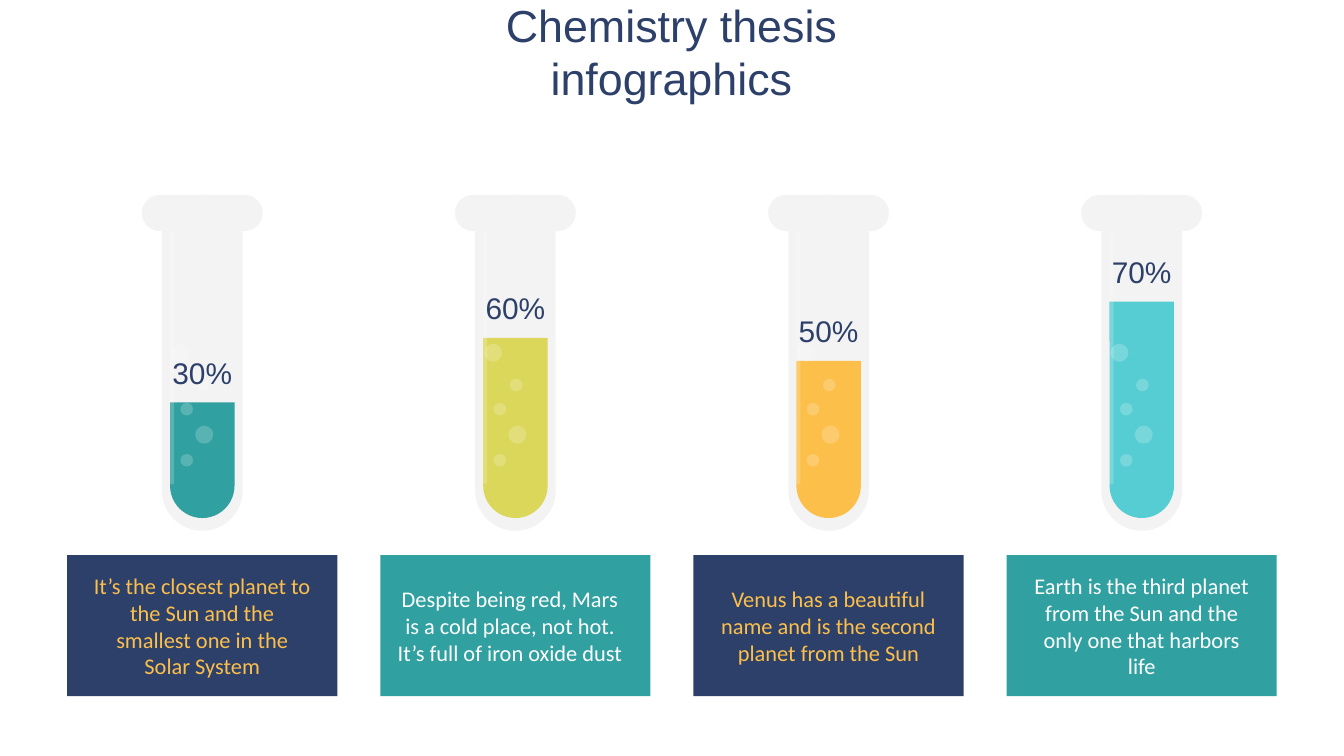
from dataclasses import dataclass

from lxml.etree import SubElement
from pptx import Presentation
from pptx.dml.color import RGBColor
from pptx.enum.shapes import MSO_SHAPE as Preset
from pptx.enum.text import MSO_ANCHOR as Anchor, PP_ALIGN as Align
from pptx.oxml.ns import qn
from pptx.util import Pt


@dataclass(frozen=True)
class Theme:
    navy: str = "2D406A"
    teal: str = "30A0A0"
    lime: str = "DBD75A"
    amber: str = "FCBF4A"
    aqua: str = "56CDD3"
    glass: str = "F3F3F3"
    white: str = "FFFFFF"
    heading_font: str = "Arial"
    body_font: str = "Calibri"
    title_size: int = 24
    label_size: int = 16
    body_size: int = 12
    inset: float = 7.2
    indent: float = 5.76
    shine: int = 20


@dataclass(frozen=True)
class Box:
    left: float
    top: float
    width: float
    height: float

    @property
    def centre(self):
        return self.left + self.width / 2

    @property
    def bottom(self):
        return self.top + self.height

    @property
    def lengths(self):
        return [Pt(value) for value in (self.left, self.top, self.width, self.height)]


THEME = Theme()
PITCH = 167.76
TUBE = Box(75.96, 104.4, 64.8, 180)
CAPTION = Box(36, 297.36, 144.72, 75.6)

# Offsets from the tube's axis and top, then diameter
BUBBLES = [
    (-11.9, 84.6, 9.7),
    (1.1, 128.5, 9.7),
    (0.4, 101.9, 6.8),
    (-8.3, 142.2, 6.8),
    (-8.3, 114.8, 6.8),
]

# Share, liquid height, liquid colour, caption fill, caption colour, left indent, caption
COLUMNS = [
    ("30%", 61.92, THEME.teal, THEME.navy, THEME.amber, THEME.indent,
     "It’s the closest planet to the Sun and the smallest one in the Solar System"),
    ("60%", 96.48, THEME.lime, THEME.teal, THEME.white, 0,
     "Despite being red, Mars is a cold place, not hot. It’s full of iron oxide dust"),
    ("50%", 84.24, THEME.amber, THEME.navy, THEME.amber, THEME.indent,
     "Venus has a beautiful name and is the second planet from the Sun"),
    ("70%", 115.92, THEME.aqua, THEME.teal, THEME.white, THEME.indent,
     "Earth is the third planet from the Sun and the only one that harbors life"),
]


def add_preset(page, preset, box, colour, adjustments=(), rotation=0, opacity=None):
    """Add a borderless filled shape; opacity is a percentage."""
    shape = page.shapes.add_shape(preset, *box.lengths)
    shape.shadow.inherit = False
    shape.fill.solid()
    shape.fill.fore_color.rgb = RGBColor.from_string(colour)
    shape.line.fill.background()
    shape.rotation = rotation
    for index, value in enumerate(adjustments):
        shape.adjustments[index] = value
    if opacity is not None:
        tint = shape.fill._xPr.find(qn("a:solidFill"))[0]
        SubElement(tint, qn("a:alpha"), val=str(opacity * 1000))
    return shape


def add_upright_pill(page, centre, top, width, height, colour, opacity=None):
    """Add a fully rounded bar lying flat, turned to stand on end."""
    flat = Box(centre - height / 2, top + (height - width) / 2, height, width)
    add_preset(page, Preset.ROUNDED_RECTANGLE, flat, colour, [0.5], 90, opacity)


def write_text(shape, text, font, size, colour, anchor=Anchor.MIDDLE):
    frame = shape.text_frame
    inset = Pt(THEME.inset)
    layout = {"word_wrap": True, "vertical_anchor": anchor, "margin_left": inset,
              "margin_top": inset, "margin_right": inset, "margin_bottom": inset}
    for name, value in layout.items():
        setattr(frame, name, value)
    para = frame.paragraphs[0]
    para.alignment = Align.CENTER
    span = para.add_run()
    span.text = text
    for name, value in {"name": font, "size": Pt(size)}.items():
        setattr(span.font, name, value)
    span.font.color.rgb = RGBColor.from_string(colour)
    return para


def add_title(page, box, text):
    shape = page.shapes.add_textbox(*box.lengths)
    write_text(shape, text, THEME.heading_font, THEME.title_size, THEME.navy, Anchor.BOTTOM)


def add_test_tube(page, box, share, level, colour):
    """Draw the glass, its liquid up to the given level, the bubbles and the share."""
    axis = box.centre
    add_upright_pill(page, axis, box.top, 43.2, box.height, THEME.glass)
    rim = Box(box.left, box.top, box.width, 19.44)
    add_preset(page, Preset.ROUNDED_RECTANGLE, rim, THEME.glass, [0.5])

    liquid = Box(axis - 17.28, box.bottom - 6.9 - level, 34.56, level)
    add_preset(page, Preset.ROUND_2_SAME_RECTANGLE, liquid, colour, [0.5, 0], 180)

    for across, down, size in BUBBLES:
        bubble = Box(axis + across - size / 2, box.top + down - size / 2, size, size)
        add_preset(page, Preset.OVAL, bubble, THEME.white, opacity=THEME.shine)
    add_upright_pill(page, axis - 16.2, box.top + 19.8, 2.16, 135.36, THEME.white, THEME.shine)

    label = Box(axis - 27.36, liquid.top - 32.4, 54.72, 32.4)
    shape = page.shapes.add_textbox(*label.lengths)
    write_text(shape, share, THEME.heading_font, THEME.label_size, THEME.navy)


def add_caption(page, box, text, fill, colour, indent):
    shape = add_preset(page, Preset.RECTANGLE, box, fill)
    para = write_text(shape, text, THEME.body_font, THEME.body_size, colour)
    margins = para._p.get_or_add_pPr()
    for name, value in {"marL": indent, "marR": THEME.indent, "indent": 0}.items():
        margins.set(name, str(Pt(value)))


def main():
    deck = Presentation()
    deck.slide_width, deck.slide_height = Pt(720), Pt(405)
    page = deck.slides.add_slide(deck.slide_layouts[6])

    add_title(page, Box(200.88, 32.4, 317.52, 30.96), "Chemistry thesis infographics")
    for index, (share, level, liquid, fill, colour, indent, text) in enumerate(COLUMNS):
        tube, caption = (
            Box(first.left + index * PITCH, first.top, first.width, first.height)
            for first in (TUBE, CAPTION)
        )
        add_test_tube(page, tube, share, level, liquid)
        add_caption(page, caption, text, fill, colour, indent)

    deck.save("out.pptx")


if __name__ == "__main__":
    main()
